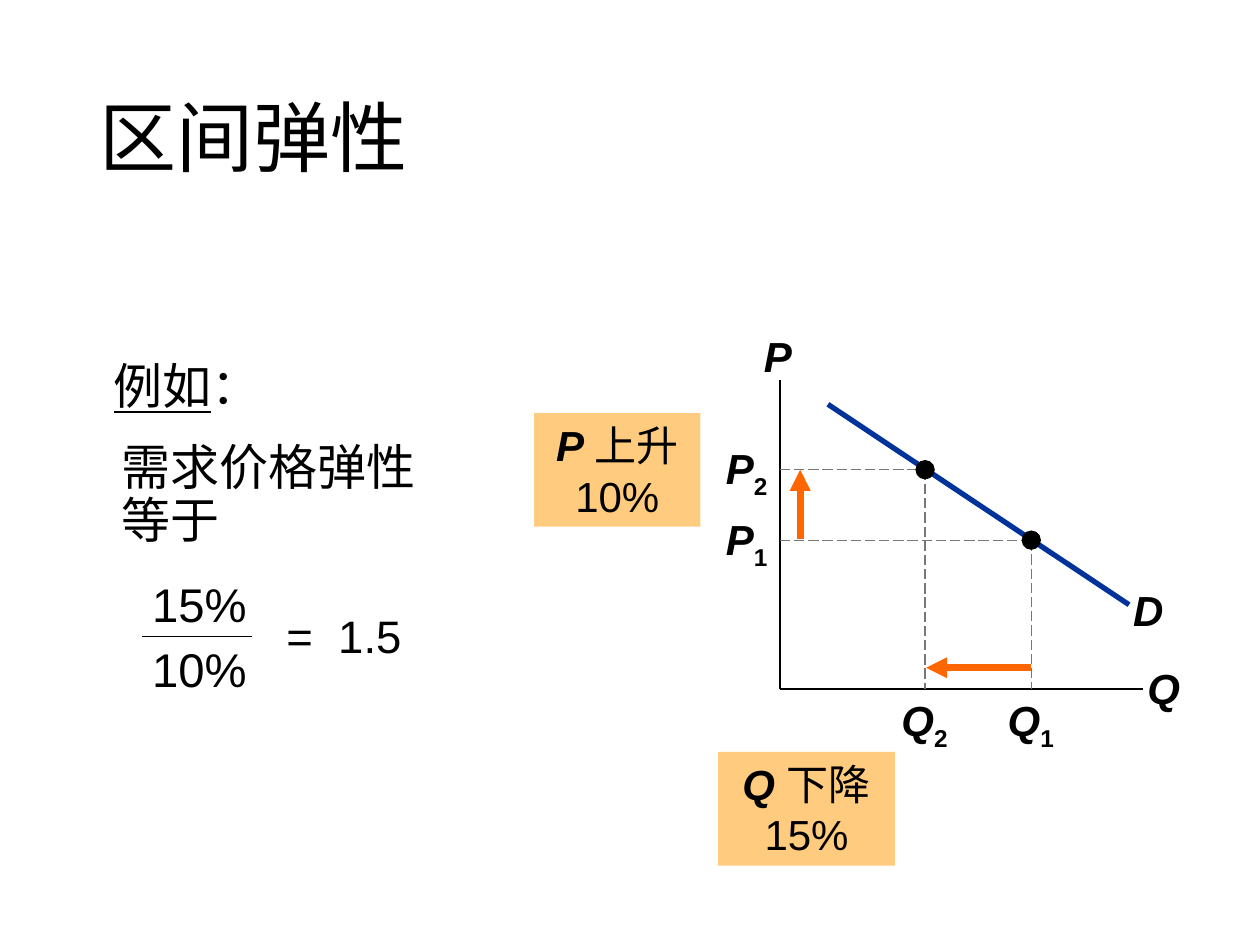
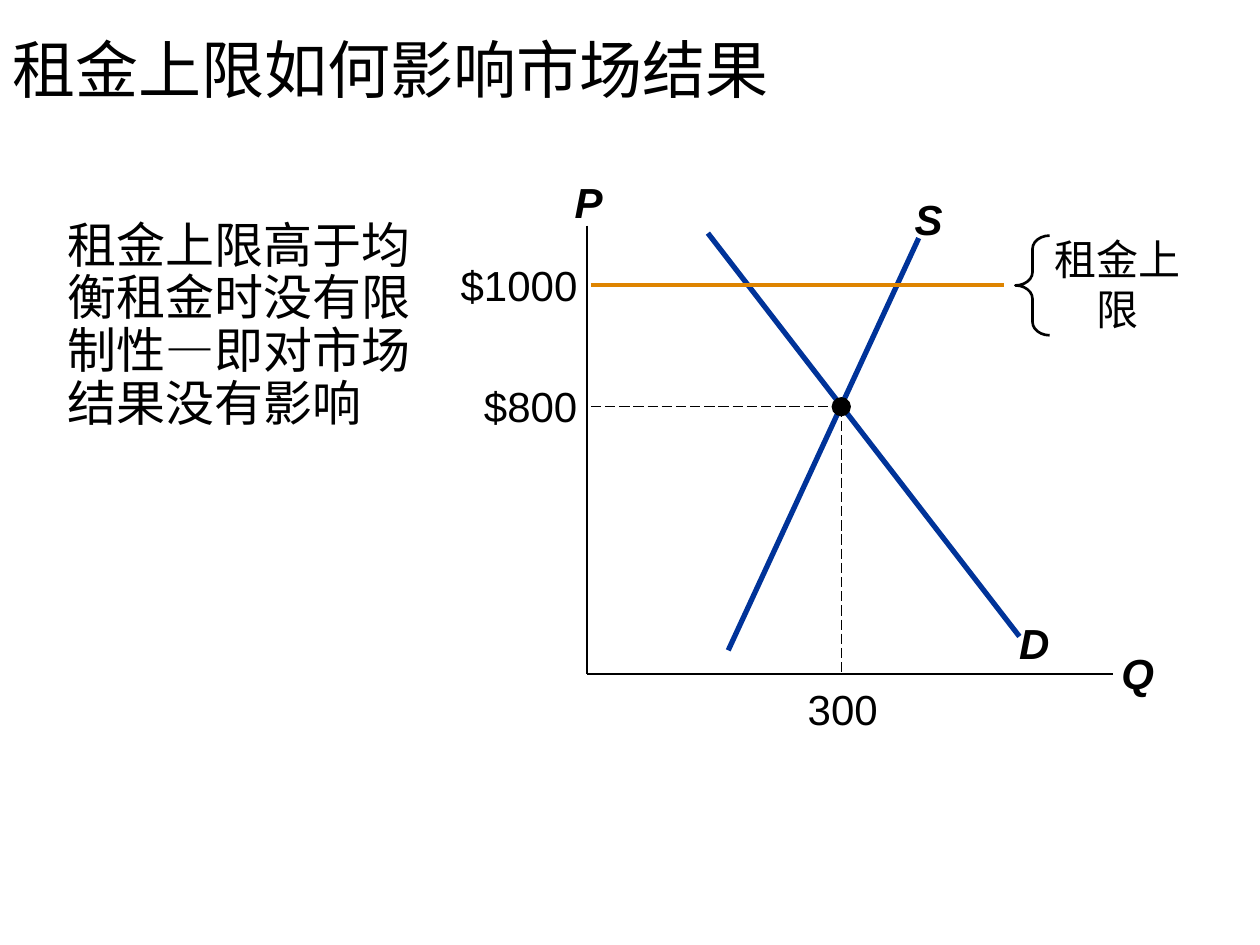
from lxml import etree
from pptx import Presentation
from pptx.dml.color import RGBColor
from pptx.enum.dml import MSO_LINE
from pptx.enum.shapes import MSO_CONNECTOR, MSO_SHAPE
from pptx.enum.text import MSO_ANCHOR, PP_ALIGN
from pptx.oxml.ns import qn
from pptx.util import Cm, Pt

LEFT, CENTER, RIGHT = PP_ALIGN.LEFT, PP_ALIGN.CENTER, PP_ALIGN.RIGHT
TOP, MIDDLE = MSO_ANCHOR.TOP, MSO_ANCHOR.MIDDLE
STRAIGHT, LONG_DASH = MSO_CONNECTOR.STRAIGHT, MSO_LINE.LONG_DASH
RECTANGLE, OVAL, BRACE = MSO_SHAPE.RECTANGLE, MSO_SHAPE.OVAL, MSO_SHAPE.LEFT_BRACE


class Theme:
    black = RGBColor.from_string("000000")
    guide = RGBColor.from_string("777777")
    curve = RGBColor.from_string("003399")
    change = RGBColor.from_string("FF6600")
    callout = RGBColor.from_string("FF9900")
    ceiling = RGBColor.from_string("DE8400")
    heading_font, label_font = "Calibri", "Arial"
    title, ceiling_title, body, label, fraction, result = 44, 36, 28, 24, 27, 26
    dot = 0.39
    inset = (0.25, 0.13)


def add_text(slide, text, box, size=Theme.label, font=Theme.label_font, align=CENTER,
             anchor=TOP, style="", spacing=None, inset=Theme.inset, fill=None):
    """Text is a string or a list of (text, style); style letters: b, i, u, s (subscript), w (wide)."""
    lengths = [Cm(value) for value in box]
    if fill is None:
        shape = slide.shapes.add_textbox(*lengths)
    else:
        shape = slide.shapes.add_shape(RECTANGLE, *lengths)
        shape.shadow.inherit = False
        shape.line.fill.background()
        shape.fill.solid()
        shape.fill.fore_color.rgb = fill
        color = next(shape._element.spPr.iter(qn("a:srgbClr")))
        etree.SubElement(color, qn("a:alpha"), val="50000")
    frame = shape.text_frame
    frame.word_wrap = True
    frame.vertical_anchor = anchor
    frame.margin_left = frame.margin_right = Cm(inset[0])
    frame.margin_top = frame.margin_bottom = Cm(inset[1])
    paragraph = frame.paragraphs[0]
    paragraph.alignment = align
    if spacing:
        paragraph.line_spacing = spacing
    for content, letters in [(text, style)] if isinstance(text, str) else text:
        run = paragraph.add_run()
        run.text = content
        run.font.name, run.font.size = font, Pt(size)
        run.font.color.rgb = Theme.black
        run.font.bold, run.font.italic = "b" in letters, "i" in letters
        run.font.underline = "u" in letters
        if "s" in letters:
            run._r.get_or_add_rPr().set("baseline", "-25000")
        if "w" in letters:
            run._r.get_or_add_rPr().set("spc", "720")


def add_line(slide, start, end, color=Theme.black, width=1, dash=None, arrow=False):
    line = slide.shapes.add_connector(STRAIGHT, *[Cm(value) for value in (*start, *end)])
    line.line.color.rgb = color
    line.line.width = Pt(width)
    if dash:
        line.line.dash_style = dash
    if arrow:
        etree.SubElement(line.line._get_or_add_ln(), qn("a:tailEnd"), type="triangle")
    etree.SubElement(line._element.spPr, qn("a:effectLst"))


presentation = Presentation()
presentation.slide_width, presentation.slide_height = Cm(25.4), Cm(19.05)
blank = presentation.slide_layouts[6]
elasticity, rent = [presentation.slides.add_slide(blank) for _ in range(2)]

# Titles and body text
for slide, text, box, size, anchor in [
    (elasticity, "区间弹性", (1.75, 1.02, 21.89, 3.68), Theme.title, MIDDLE),
    (elasticity, "需求价格弹性等于", (2.21, 8.81, 6.86, 5), Theme.body, TOP),
    (rent, "租金上限如何影响市场结果", (0, 0.58, 25.4, 1.8), Theme.ceiling_title, MIDDLE),
    (rent, "租金上限高于均衡租金时没有限制性—即对市场结果没有影响",
     (1.12, 4.32, 8.03, 11.76), Theme.body, TOP),
]:
    add_text(slide, text, box, size=size, font=Theme.heading_font, align=LEFT,
             anchor=anchor, spacing=0.9)

# Axes
for slide, left, top, right, bottom in [
    (elasticity, 15.72, 7.67, 23.04, 13.89),
    (rent, 11.84, 4.55, 22.43, 13.58),
]:
    add_line(slide, (left, top), (left, bottom))
    add_line(slide, (left, bottom), (right, bottom))

# Demand and supply curves
for slide, start, end in [
    (elasticity, (16.69, 8.15), (22.76, 12.19)),
    (rent, (14.27, 4.7), (20.55, 12.83)),
    (rent, (14.68, 13.11), (18.52, 4.8)),
]:
    add_line(slide, start, end, color=Theme.curve, width=3)

# Axis and curve names
for slide, name, left, top, width in [
    (elasticity, "P", 14.83, 6.53, 1.7),
    (elasticity, "Q", 22.61, 13.23, 1.7),
    (elasticity, "D", 22.3, 11.66, 1.7),
    (rent, "P", 11.28, 3.43, 1.17),
    (rent, "Q", 22.3, 12.93, 1.27),
    (rent, "D", 20.14, 12.32, 1.42),
    (rent, "S", 18.01, 3.78, 1.42),
]:
    add_text(slide, name, (left, top, width, 1.27), style="bi")

# Points on the curves with their guides to both axes
for slide, x, y, left, bottom, color in [
    (elasticity, 18.65, 9.47, 15.72, 13.89, Theme.guide),
    (elasticity, 20.79, 10.89, 15.72, 13.89, Theme.guide),
    (rent, 16.96, 8.2, 11.91, 13.6, Theme.black),
]:
    add_line(slide, (left, y), (x, y), color=color, width=0.75, dash=LONG_DASH)
    add_line(slide, (x, y), (x, bottom), color=color, width=0.75, dash=LONG_DASH)
    corner = Cm(x - Theme.dot / 2), Cm(y - Theme.dot / 2)
    dot = slide.shapes.add_shape(OVAL, *corner, Cm(Theme.dot), Cm(Theme.dot))
    dot.shadow.inherit = False
    dot.fill.solid()
    dot.fill.fore_color.rgb = Theme.black
    dot.line.fill.background()

# Elasticity: prices and quantities before (1) and after (2)
for number, x, y in [("2", 18.64, 9.47), ("1", 20.78, 10.9)]:
    add_text(elasticity, [("P", "bi"), (number, "bs")], (14.05, y - 0.67, 1.67, 1.27), align=RIGHT)
    add_text(elasticity, [("Q", "bi"), (number, "bs")], (x - 0.8, 13.88, 1.6, 1.27))

# Elasticity: arrows and callouts for the changes
for start, end in [((16.13, 10.87), (16.13, 9.47)), ((20.78, 13.46), (18.67, 13.46))]:
    add_line(elasticity, start, end, color=Theme.change, width=4, arrow=True)
for name, change, box in [
    ("P ", "上升 10%", (10.77, 8.33, 3.35, 2.29)),
    ("Q ", "下降15%", (14.48, 15.16, 3.56, 2.29)),
]:
    add_text(elasticity, [(name, "bi"), (change, "")], box, fill=Theme.callout)

# Elasticity: worked example
add_text(elasticity, [("例如", "u"), ("：", "")], (0.99, 7.04, 5.56, 1.45), size=Theme.body)
for percentage, top in [("15%", 11.46), ("10%", 12.78)]:
    add_text(elasticity, percentage, (2.62, top, 2.8, 1.4), size=Theme.fraction)
add_line(elasticity, (2.87, 12.83), (5.08, 12.83))
add_text(elasticity, [("=", ""), (" ", "w"), ("1.5", "")], (5.21, 12.12, 3.45, 1.35),
         size=Theme.result)

# Rent: values on the axes
for value, left, top, width, align in [
    ("$1000", 9.05, 5.23, 2.59, RIGHT),
    ("$800", 9.05, 7.67, 2.59, RIGHT),
    ("300", 15.77, 13.77, 2.44, CENTER),
]:
    add_text(rent, value, (left, top, width, 1.02), align=align, inset=(0, 0))

# Rent: ceiling line, brace and name
add_line(rent, (11.91, 5.74), (20.24, 5.74), color=Theme.ceiling, width=2.25)
add_text(rent, "租金上限", (20.98, 4.57, 3.1, 2.31))
brace = rent.shapes.add_shape(BRACE, Cm(20.47), Cm(4.75), Cm(0.69), Cm(2.01))
brace.shadow.inherit = False
brace.adjustments[0] = 0.39
brace.fill.background()
brace.line.color.rgb = Theme.black
brace.line.width = Pt(1.5)

presentation.save("out.pptx")
